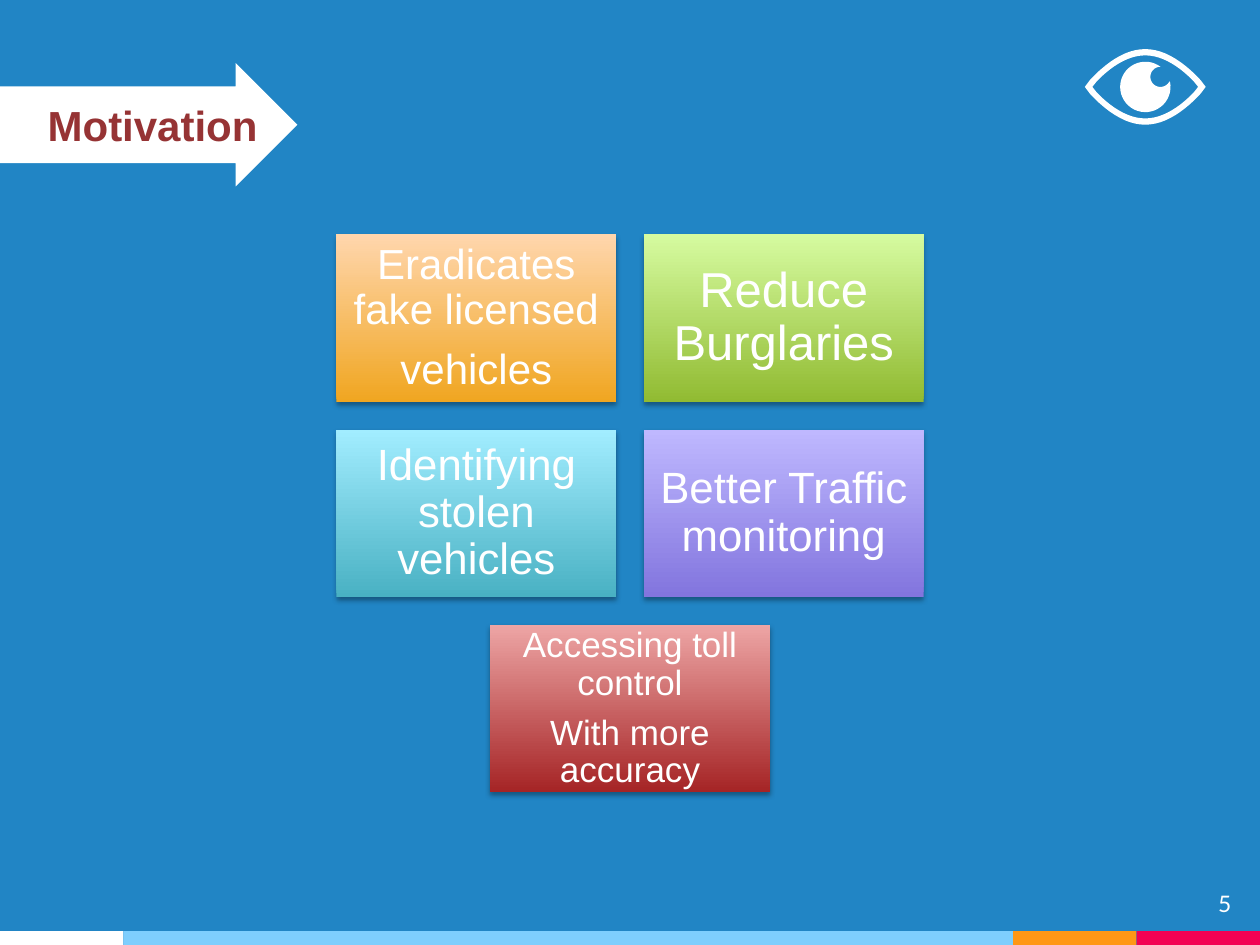
from dataclasses import dataclass
from math import cos, pi, radians, sin

from lxml import etree
from pptx import Presentation
from pptx.dml.color import RGBColor
from pptx.enum.shapes import MSO_SHAPE as Shape
from pptx.enum.text import MSO_ANCHOR as Anchor, PP_ALIGN as Align
from pptx.oxml.ns import qn
from pptx.util import Inches, Pt


@dataclass(frozen=True)
class Theme:
    back: str = "2185C5"
    white: str = "FFFFFF"
    title: str = "963334"
    sky: str = "7ECEFD"
    orange: str = "FF9715"
    red: str = "F20253"
    font: str = "Arial"
    page_font: str = "Lato"
    title_size: int = 24
    page_size: int = 13


THEME = Theme()

# Rows of cards: paragraphs, type size, inset, bottom colour, top colour
CARDS = [
    [
        (["Eradicates fake licensed", "vehicles"], 24, 0.1, "F0A621", "FFD6AD"),
        (["Reduce Burglaries"], 28, 0.12, "91BB32", "D6FBA0"),
    ],
    [
        (["Identifying stolen vehicles"], 25, 0.1, "49B1C3", "A2EDFF"),
        (["Better Traffic monitoring"], 25, 0.1, "8275DE", "BFB8FF"),
    ],
    [
        (["Accessing toll control", "With more accuracy"], 20, 0.08, "A52425", "EDA5A5"),
    ],
]


def paint(shape, color):
    shape.shadow.inherit = False
    shape.fill.solid()
    shape.fill.fore_color.rgb = RGBColor.from_string(color)
    shape.line.fill.background()


def add_block(slide, kind, x, y, w, h, color):
    shape = slide.shapes.add_shape(kind, Inches(x), Inches(y), Inches(w), Inches(h))
    paint(shape, color)
    return shape


def write(frame, lines, size, color=THEME.white, font=THEME.font, bold=False,
          align=Align.LEFT, anchor=Anchor.TOP, inset=(0.1, 0.05),
          spacing=None, after=0):
    """Fill a text frame; after is a share of the type size."""
    frame.word_wrap = True
    frame.vertical_anchor = anchor
    frame.margin_left = frame.margin_right = Inches(inset[0])
    frame.margin_top = frame.margin_bottom = Inches(inset[1])
    for i, line in enumerate(lines):
        para = frame.add_paragraph() if i else frame.paragraphs[0]
        para.alignment = align
        para.line_spacing = spacing
        para.space_after = Pt(size * after)
        run = para.add_run()
        run.text = line
        run.font.name = font
        run.font.size = Pt(size)
        run.font.bold = bold
        run.font.color.rgb = RGBColor.from_string(color)


def add_label(slide, text, x, y, w, h, **style):
    box = slide.shapes.add_textbox(Inches(x), Inches(y), Inches(w), Inches(h))
    write(box.text_frame, [text], **style)


def cast_shadow(shape):
    shape.shadow.inherit = False
    effects = shape.element.spPr.find(qn("a:effectLst"))
    outer = etree.SubElement(
        effects, qn("a:outerShdw"), blurRad=str(Pt(3.1)), dist=str(Pt(1.8)),
        dir="5400000", rotWithShape="0")
    black = etree.SubElement(outer, qn("a:srgbClr"), val="000000")
    etree.SubElement(black, qn("a:alpha"), val="35000")


def add_card(slide, x, y, w, h, lines, size, inset, low, high):
    card = add_block(slide, Shape.RECTANGLE, x, y, w, h, low)
    card.fill.gradient()
    card.fill.gradient_angle = 90
    for stop, color in zip(card.fill.gradient_stops, (low, high)):
        stop.color.rgb = RGBColor.from_string(color)
    cast_shadow(card)
    write(card.text_frame, lines, size, align=Align.CENTER, anchor=Anchor.MIDDLE,
          inset=(inset, inset), spacing=0.9, after=0.35)


def add_cards(slide):
    """Lay the cards out in rows, each centred on the slide."""
    w, h, gap, top = 2.22, 1.33, 0.22, 1.86
    for r, row in enumerate(CARDS):
        left = (10 - len(row) * w - (len(row) - 1) * gap) / 2
        for c, card in enumerate(row):
            add_card(slide, left + c * (w + gap), top + r * (h + gap), w, h, *card)


def add_outline(slide, loops, color):
    """Draw closed loops of points as one shape; an inner loop is a hole."""
    loops = [[(Inches(x), Inches(y)) for x, y in loop] for loop in loops]
    pen = slide.shapes.build_freeform(*loops[0][0])
    for i, loop in enumerate(loops):
        if i:
            pen.move_to(*loop[0])
        pen.add_line_segments(loop[1:], close=True)
    paint(pen.convert_to_shape(), color)


def lens(x, y, w, h, steps=24):
    """Points of an almond shape with half width w and half height h."""
    ts = [2 * i / steps - 1 for i in range(steps + 1)]
    rise = [(w * t, h * max(cos(pi / 2 * t), 0) ** 0.85) for t in ts]
    upper = [(x + dx, y - dy) for dx, dy in rise]
    lower = [(x - dx, y + dy) for dx, dy in rise]
    return upper + lower[1:-1]


def arc(x, y, r, start, end, steps=40):
    turns = [radians(start + (end - start) * i / steps) for i in range(steps + 1)]
    return [(x + r * cos(a), y + r * sin(a)) for a in turns]


def add_eye(slide, x, y):
    add_outline(slide, [lens(x, y, 0.48, 0.3), lens(x, y, 0.42, 0.25)], THEME.white)
    ball = arc(x, y, 0.2, -53, -371)
    glint = arc(x + 0.12, y - 0.08, 0.08, 27, 270)
    add_outline(slide, [ball + glint], THEME.white)


def add_stripe(slide):
    x = 0
    for w, color in [(0.98, THEME.white), (7.06, THEME.sky),
                     (0.98, THEME.orange), (0.98, THEME.red)]:
        add_block(slide, Shape.RECTANGLE, x, 7.39, w, 0.11, color)
        x += w


def main():
    deck = Presentation()
    deck.slide_width, deck.slide_height = Inches(10), Inches(7.5)
    slide = deck.slides.add_slide(deck.slide_layouts[6])
    slide.background.fill.solid()
    slide.background.fill.fore_color.rgb = RGBColor.from_string(THEME.back)

    add_stripe(slide)
    arrow = add_block(slide, Shape.RIGHT_ARROW, 0, 0.5, 2.36, 0.98, THEME.white)
    arrow.adjustments[0] = 0.62
    arrow.adjustments[1] = 0.5
    add_label(slide, "Motivation", 0.28, 0.74, 1.97, 0.5,
              size=THEME.title_size, color=THEME.title, bold=True)
    add_cards(slide)
    add_eye(slide, 9.09, 0.69)
    add_label(slide, "5", 9.27, 6.96, 0.6, 0.46, size=THEME.page_size,
              font=THEME.page_font, align=Align.RIGHT, inset=(0.1, 0.1))
    deck.save("out.pptx")


if __name__ == "__main__":
    main()
